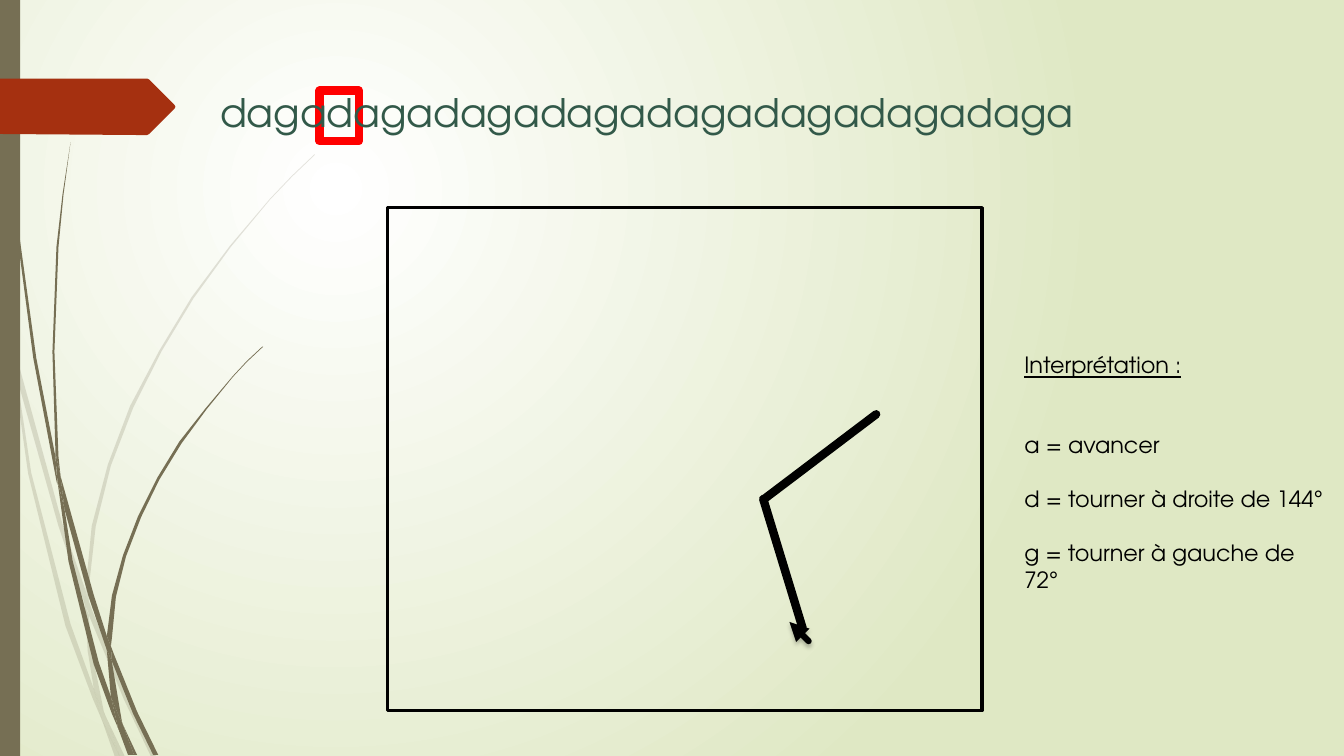
"""Build the slide that interprets a word as turtle-drawing moves."""
from dataclasses import dataclass
from typing import Optional

from lxml.etree import SubElement
from pptx import Presentation
from pptx.dml.color import RGBColor
from pptx.enum.shapes import MSO_CONNECTOR, MSO_SHAPE
from pptx.enum.text import MSO_ANCHOR, MSO_AUTO_SIZE, PP_ALIGN
from pptx.oxml.ns import qn
from pptx.util import Inches, Pt

FONT = "TeX Gyre Adventor"
BLACK, OLIVE, RUST, RED, GREEN = "000000", "766F54", "A53010", "FF0000", "325949"

PALE_BLADES = (
    "0.11,3.5 0.09,3.22 0,2.82 0,2.99 0.1,3.44",
    "0.58,5.22 0.84,5.99 0.85,5.86 0.62,5.2 0.14,3.45 0.17,3.76",
    "0.92,6.07 0.88,5.96 0.88,6.1 1.23,6.94 1.5,7.51 1.55,7.51 1.27,6.92",
    "1.19,7.51 1.24,7.51 1.05,7.11",
    "0.93,6.83 0.7,6.19 0.31,4.69 0.17,3.76 0.11,3.5 0.28,4.7 0.65,6.21 0.92,6.93 1.01,7.14 0.99,7.07",
    "0.84,5.99 0.87,6.46 0.93,6.83 0.96,6.92 1.05,7.11 1.03,7.06 0.91,6.46 0.88,6.1",
    "0.88,5.84 0.95,5.22 1.1,4.62 1.32,4.05 1.6,3.49 1.92,2.96 2.29,2.45 2.68,1.98 2.9,1.75 3.12,1.54 "
    "3.12,1.53 2.89,1.75 2.68,1.97 2.28,2.44 1.9,2.95 1.58,3.48 1.29,4.03 1.07,4.61 0.91,5.22 0.85,5.84 0.88,5.96",
    "1.01,7.14 1.14,7.51 1.19,7.51",
    "0.88,6.08 0.88,5.96 0.85,5.86 0.84,5.99",
    "0.96,6.92 0.93,6.83 0.99,7.07 1.01,7.14 1.19,7.51 1.05,7.11",
)
DARK_BLADES = (
    "0.07,1.1 0.17,2.33 0.33,3.55 0.56,4.77 0.57,4.81 0.55,4.53 0.36,3.55 0.19,2.32 0.08,1.09 0.05,0.48 "
    "0.04,0 0.03,0 0.04,0.48",
    "0.88,5.92 1.06,6.45 1.06,6.31 0.93,5.9 0.6,4.72 0.64,5.05",
    "1.13,6.49 1.1,6.41 1.11,6.56 1.32,7.08 1.52,7.49 1.57,7.49 1.36,7.06",
    "1.1,6.91 0.98,6.57 0.72,5.56 0.64,5.05 0.57,4.77 0.68,5.57 0.93,6.59 1.11,7.08 1.17,7.22 1.16,7.17",
    "0.6,4.72 0.58,4.53 0.54,3.49 0.58,2.45 0.63,1.93 0.7,1.41 0.62,1.93 0.56,2.45 0.52,3.49 0.55,4.49",
    "1.33,7.49 1.36,7.49 1.22,7.19",
    "0.57,4.77 0.64,5.05 0.6,4.72 0.55,4.49 0.55,4.53",
    "1.11,6.33 1.15,5.92 1.25,5.52 1.4,5.13 1.58,4.76 1.8,4.4 2.05,4.06 2.31,3.74 2.45,3.59 2.61,3.44 "
    "2.6,3.44 2.45,3.58 2.31,3.73 2.04,4.05 1.78,4.38 1.56,4.74 1.37,5.12 1.22,5.51 1.11,5.91 1.06,6.31 1.1,6.41",
    "1.17,7.22 1.27,7.49 1.31,7.49",
    "1.06,6.45 1.1,6.91 1.16,7.06 1.22,7.19 1.21,7.16 1.11,6.56",
    "1.06,6.45 1.11,6.56 1.1,6.41 1.06,6.31",
    "1.16,7.06 1.1,6.91 1.16,7.17 1.17,7.22 1.3,7.49 1.33,7.49 1.22,7.19",
)
BANNER = "1.73,1.08 1.48,1.33 1.46,1.34 1.36,1.34 0,1.33 0,0.78 1.46,0.78 1.48,0.79 1.73,1.04 1.74,1.06"


@dataclass(frozen=True)
class Frame:
    left: float
    top: float
    width: float
    height: float
    fill: Optional[str] = None
    line: Optional[str] = None
    weight: float = 0


@dataclass(frozen=True)
class Stroke:
    start: tuple[float, float]
    end: tuple[float, float]
    weight: float = 6
    is_turtle: bool = False


@dataclass(frozen=True)
class Line:
    text: str
    gap: float = 0
    underline: bool = False


TURTLE = Stroke((8.02, 6.36), (7.83, 6.17), 4.5, True)
TRAIL = (Stroke((8.69, 4.11), (7.58, 4.95)), Stroke((7.57, 4.95), (7.96, 6.23)))
WORD = (Line("dagadagadagadagadagadagadagadaga"),)
LEGEND = (Line("Interprétation :", 0, True), Line("a = avancer", 38.4),
          Line("d = tourner à droite de 144°", 19.2), Line("g = tourner à gauche de 72°", 19.2))


def colour(value: str) -> RGBColor:
    return RGBColor.from_string(value)


def draw_outline(page, outline: str, fill: str, opacity: int = 100) -> None:
    corners = [tuple(Inches(float(number)) for number in pair.split(",")) for pair in outline.split()]
    builder = page.shapes.build_freeform(*corners[0])
    builder.add_line_segments(corners[1:], close=True)
    shape = builder.convert_to_shape()
    shape.shadow.inherit = False
    shape.fill.solid()
    shape.fill.fore_color.rgb = colour(fill)
    shape.line.fill.background()
    if opacity < 100:
        tint = shape.element.spPr.find(".//" + qn("a:srgbClr"))
        SubElement(tint, qn("a:alpha"), val=str(opacity * 1000))


def draw_frame(page, frame: Frame) -> None:
    shape = page.shapes.add_shape(MSO_SHAPE.RECTANGLE, Inches(frame.left), Inches(frame.top),
                                  Inches(frame.width), Inches(frame.height))
    shape.shadow.inherit = False
    if frame.fill:
        shape.fill.solid()
        shape.fill.fore_color.rgb = colour(frame.fill)
    else:
        shape.fill.background()
    if frame.line:
        shape.line.color.rgb = colour(frame.line)
        shape.line.width = Pt(frame.weight)
        SubElement(shape.element.spPr.find(qn("a:ln")), qn("a:round"))
    else:
        shape.line.fill.background()


def draw_stroke(page, stroke: Stroke) -> None:
    connector = page.shapes.add_connector(MSO_CONNECTOR.STRAIGHT, *map(Inches, stroke.start + stroke.end))
    connector.line.color.rgb = colour(BLACK)
    connector.line.width = Pt(stroke.weight)
    outline = connector.element.spPr.find(qn("a:ln"))
    outline.set("cap", "rnd")
    SubElement(outline, qn("a:round"))
    effects = SubElement(connector.element.spPr, qn("a:effectLst"))
    if stroke.is_turtle:
        SubElement(outline, qn("a:tailEnd"), type="triangle")
        shadow = SubElement(effects, qn("a:outerShdw"), blurRad=str(Pt(3)), dist=str(Pt(2)),
                            dir="5400000", rotWithShape="0")
        tint = SubElement(shadow, qn("a:srgbClr"), val=BLACK)
        SubElement(tint, qn("a:alpha"), val="25000")


def write_lines(box, place: Frame, lines: tuple[Line, ...], size: float, ink: str, align: PP_ALIGN) -> None:
    box.left, box.top = Inches(place.left), Inches(place.top)
    box.width, box.height = Inches(place.width), Inches(place.height)
    frame = box.text_frame
    frame.word_wrap, frame.auto_size, frame.vertical_anchor = True, MSO_AUTO_SIZE.NONE, MSO_ANCHOR.TOP
    for index, line in enumerate(lines):
        para = frame.add_paragraph() if index else frame.paragraphs[0]
        para.text = line.text
        para.alignment, para.space_before = align, Pt(line.gap)
        properties = para._p.get_or_add_pPr()
        properties.set("marL", "0")
        properties.set("indent", "0")
        SubElement(properties, qn("a:buNone"))
        font = para.font
        font.name, font.size, font.underline = FONT, Pt(size), line.underline
        font.color.rgb = colour(ink)
    box.element.getparent().append(box.element)


def paint_background(page) -> None:
    fill = page.background.fill
    fill.gradient()
    for stop, position, value in zip(fill.gradient_stops, (0, 1), ("FFFFFF", "DFE8C4")):
        stop.position, stop.color.rgb = position, colour(value)
    gradient = page.element.find(".//" + qn("a:gradFill"))
    gradient.remove(gradient.find(qn("a:lin")))
    circle = SubElement(gradient, qn("a:path"), path="circle")
    SubElement(circle, qn("a:fillToRect"), l="50000", t="50000", r="100000", b="100000")


def main() -> None:
    deck = Presentation()
    deck.slide_width, deck.slide_height = Inches(13.33), Inches(7.5)
    page = deck.slides.add_slide(deck.slide_layouts[1])
    title, body = page.placeholders
    paint_background(page)
    for blades, opacity in ((PALE_BLADES, 20), (DARK_BLADES, 100)):
        for blade in blades:
            draw_outline(page, blade, OLIVE, opacity)
    draw_frame(page, Frame(0, 0, 0.2, 7.5, fill=OLIVE))
    draw_outline(page, BANNER, RUST)
    draw_frame(page, Frame(3.84, 2.06, 5.9, 4.99, line=BLACK, weight=2.25))
    draw_stroke(page, TURTLE)
    write_lines(body, Frame(10.06, 3.43, 3.27, 2.26), LEGEND, 16, BLACK, PP_ALIGN.LEFT)
    draw_frame(page, Frame(3.17, 0.9, 0.39, 0.5, line=RED, weight=6))
    for stroke in TRAIL:
        draw_stroke(page, stroke)
    write_lines(title, Frame(1.23, 0.83, 10.37, 0.57), WORD, 28, GREEN, PP_ALIGN.CENTER)
    deck.save("out.pptx")


if __name__ == "__main__":
    main()
